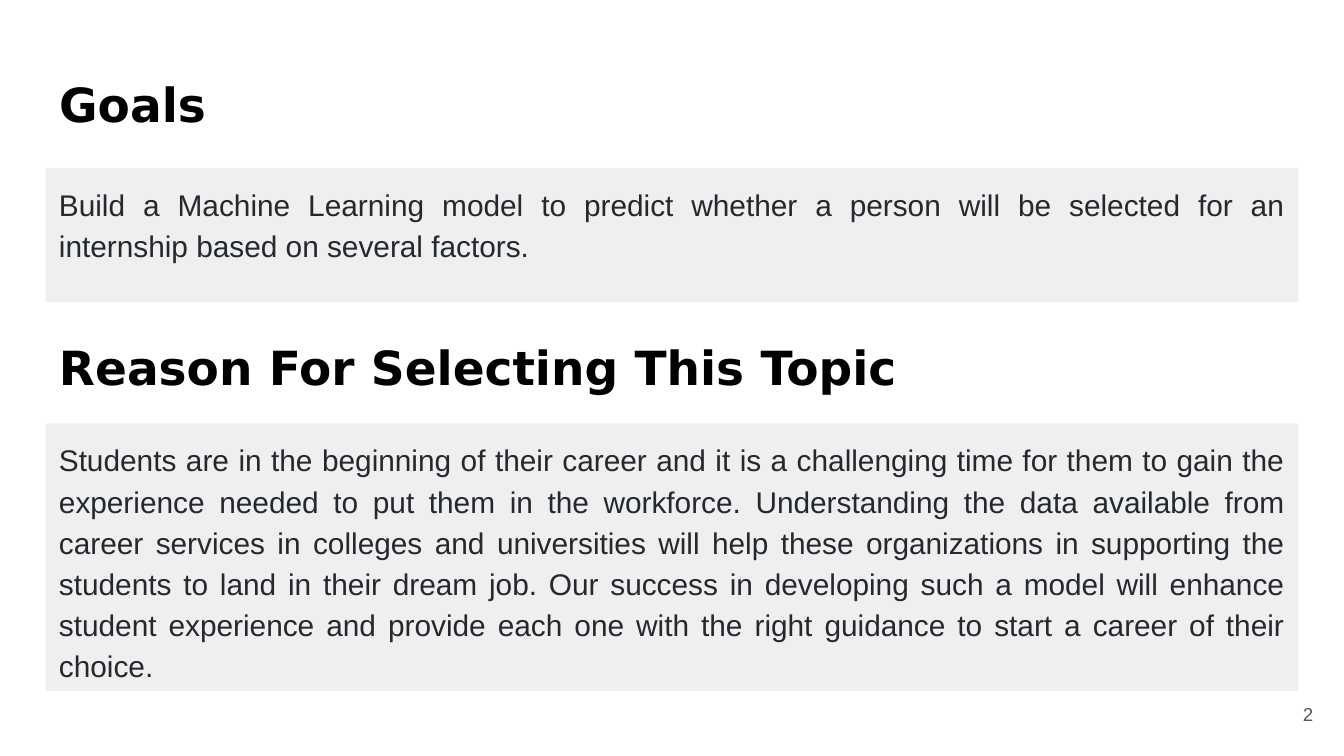
from dataclasses import dataclass

from pptx import Presentation
from pptx import util as u
from pptx.dml.color import RGBColor
from pptx.enum import shapes, text


@dataclass(frozen=True)
class Theme:
    heading_font: str = "DejaVu Sans"
    body_font: str = "Arial"
    heading_size: float = 25.2
    body_size: float = 16
    number_size: float = 10
    heading_color: str = "000000"
    body_color: str = "24292F"
    number_color: str = "595959"
    panel_color: str = "EFEFEF"


@dataclass(frozen=True)
class Section:
    heading: str
    body: str
    heading_top: float
    panel_top: float
    panel_height: float


THEME = Theme()
WIDTH = 10
HEIGHT = WIDTH * 9 / 16
MARGIN = 0.34
COLUMN = WIDTH - 2 * MARGIN
HEADING_HEIGHT = 0.63
INSET = 0.1

SECTIONS = [
    Section(
        "Goals",
        "Build a Machine Learning model to predict whether a person will be "
        "selected for an internship based on several factors.",
        0.46, 1.25, 1,
    ),
    Section(
        "Reason For Selecting This Topic",
        "Students are in the beginning of their career and it is a challenging "
        "time for them to gain the experience needed to put them in the "
        "workforce. Understanding the data available from career services in "
        "colleges and universities will help these organizations in supporting "
        "the students to land in their dream job. Our success in developing such "
        "a model will enhance student experience and provide each one with the "
        "right guidance to start a career of their choice.",
        2.42, 3.15, 1.99,
    ),
]


def box(left: float, top: float, width: float, height: float) -> list:
    return [u.Inches(length) for length in (left, top, width, height)]


def write(shape, words: str, font: str, size: float, color: str, *,
          bold: bool = False, align=text.PP_ALIGN.LEFT,
          anchor=text.MSO_ANCHOR.TOP):
    """Fill a shape with one formatted paragraph and return the paragraph."""
    frame = shape.text_frame
    frame.word_wrap = True
    frame.auto_size = text.MSO_AUTO_SIZE.NONE
    frame.vertical_anchor = anchor
    frame.margin_left = frame.margin_right = u.Inches(INSET)
    frame.margin_top = frame.margin_bottom = u.Inches(INSET)
    paragraph = frame.paragraphs[0]
    paragraph.text = words
    paragraph.alignment = align
    paragraph.font.name = font
    paragraph.font.size = u.Pt(size)
    paragraph.font.bold = bold
    paragraph.font.color.rgb = RGBColor.from_string(color)
    return paragraph


def draw_heading(shape, section: Section) -> None:
    shape.left, shape.top, shape.width, shape.height = box(
        MARGIN, section.heading_top, COLUMN, HEADING_HEIGHT)
    write(shape, section.heading, THEME.heading_font, THEME.heading_size,
          THEME.heading_color, bold=True)


def draw_panel(slide, section: Section) -> None:
    panel = slide.shapes.add_shape(
        shapes.MSO_SHAPE.RECTANGLE,
        *box(MARGIN, section.panel_top, COLUMN, section.panel_height))
    panel.shadow.inherit = False
    panel.fill.solid()
    panel.fill.fore_color.rgb = RGBColor.from_string(THEME.panel_color)
    panel.line.fill.background()
    paragraph = write(panel, section.body, THEME.body_font, THEME.body_size,
                      THEME.body_color, align=text.PP_ALIGN.JUSTIFY)
    paragraph.line_spacing = 1.15
    paragraph.space_after = u.Pt(12)


def main() -> None:
    deck = Presentation()
    deck.slide_width, deck.slide_height = u.Inches(WIDTH), u.Inches(HEIGHT)
    slide = deck.slides.add_slide(deck.slide_layouts[5])

    # Headings with their text panels; the first heading is the slide title
    for index, section in enumerate(SECTIONS):
        heading = slide.shapes.title if index == 0 else slide.shapes.add_textbox(
            *box(MARGIN, section.heading_top, COLUMN, HEADING_HEIGHT))
        draw_heading(heading, section)
        draw_panel(slide, section)

    # Page number
    page_number = slide.shapes.add_textbox(*box(9.27, 5.1, 0.6, 0.43))
    write(page_number, "2", THEME.body_font, THEME.number_size,
          THEME.number_color, align=text.PP_ALIGN.RIGHT,
          anchor=text.MSO_ANCHOR.MIDDLE)

    deck.save("out.pptx")


if __name__ == "__main__":
    main()
